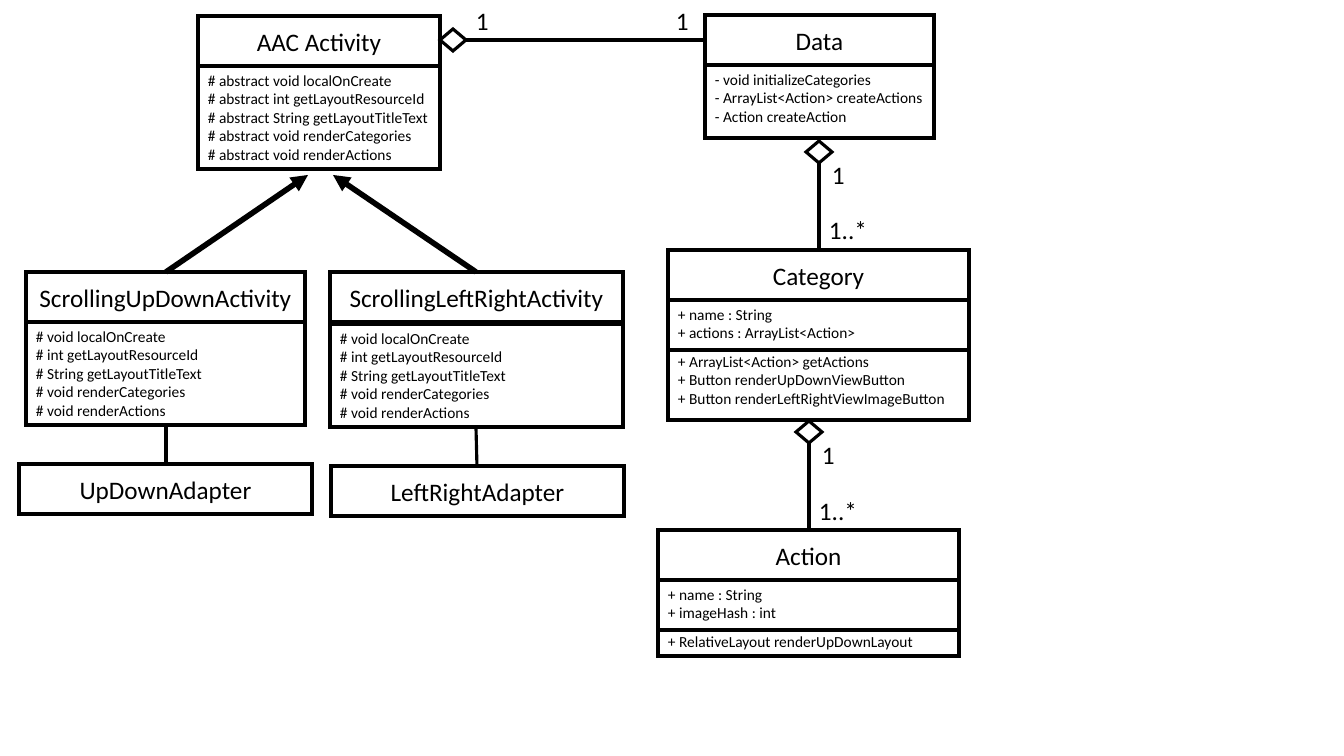
from dataclasses import dataclass

from lxml.etree import SubElement
from pptx import Presentation
from pptx.dml.color import RGBColor
from pptx.enum.shapes import MSO_CONNECTOR as Conn, MSO_SHAPE as Kind
from pptx.enum.text import MSO_ANCHOR as Anchor, MSO_AUTO_SIZE as Fit, PP_ALIGN as Align
from pptx.oxml.ns import qn
from pptx.util import Pt


@dataclass(frozen=True)
class Theme:
    ink: RGBColor = RGBColor(0, 0, 0)
    paper: RGBColor = RGBColor(255, 255, 255)
    font: str = "Calibri"
    head: Pt = Pt(18)
    body: Pt = Pt(11)
    frame: Pt = Pt(3)
    link: Pt = Pt(2.25)
    arrow: Pt = Pt(4)


theme = Theme()
SCALE = 914400 / 100.8  # EMU per pixel


def px(*vals):
    return [round(v * SCALE) for v in vals]


def write(shape, text, size, align=Align.LEFT, anchor=Anchor.TOP):
    frame = shape.text_frame
    frame.text = text
    frame.vertical_anchor = anchor
    for para in frame.paragraphs:
        para.alignment = align
        for run in para.runs:
            run.font.name = theme.font
            run.font.size = size
            run.font.color.rgb = theme.ink


deck = Presentation()
deck.slide_width, deck.slide_height = px(1344, 756)
slide = deck.slides.add_slide(deck.slide_layouts[6])
shapes = slide.shapes

# Classes: left, top, width, name, gap under the name, sections
HEAD = 50
LAP = 3  # overlap of two sections
HIGH = {1: 29, 2: 50, 3: 73, 5: 103}  # section height by line count
hooks = ["void localOnCreate", "int getLayoutResourceId", "String getLayoutTitleText",
         "void renderCategories", "void renderActions"]
base = [f"# abstract {hook}" for hook in hooks]
child = [f"# {hook}" for hook in hooks]
classes = [
    (198, 16, 242, "AAC Activity", 0, [base]),
    (705, 15, 229, "Data", 0, [[
        "- void initializeCategories",
        "- ArrayList<Action> createActions",
        "- Action createAction"]]),
    (668, 250, 301, "Category", 0, [
        ["+ name : String", "+ actions : ArrayList<Action>"],
        ["+ ArrayList<Action> getActions",
         "+ Button renderUpDownViewButton",
         "+ Button renderLeftRightViewImageButton"]]),
    (658, 530, 301, "Action", 0, [
        ["+ name : String", "+ imageHash : int"],
        ["+ RelativeLayout renderUpDownLayout"]]),
    (26, 272, 279, "ScrollingUpDownActivity", 0, [child]),
    (330, 272, 293, "ScrollingLeftRightActivity", 2, [child]),
    (19, 464, 293, "UpDownAdapter", 0, []),
    (331, 466, 293, "LeftRightAdapter", 0, []),
]
parts = []
for left, top, wide, name, gap, lists in classes:
    parts.append((Kind.RECTANGLE, left, top, wide, HEAD, name, True))
    edge = top + HEAD + gap
    stack = []
    for lines in lists:
        high = HIGH[len(lines)]
        stack.append((Kind.RECTANGLE, left, edge, wide, high, "\n".join(lines), False))
        edge += high - LAP
    parts += reversed(stack)  # upper sections lie in front

# Diamonds of the aggregations
parts += [(Kind.DIAMOND, left, top, 26, 22, "", True)
          for left, top in [(440, 29), (806, 141), (796, 421)]]

for kind, left, top, wide, high, text, head in parts:
    box = shapes.add_shape(kind, *px(left, top, wide, high))
    box.shadow.inherit = False
    box.fill.solid()
    box.fill.fore_color.rgb = theme.paper
    box.line.color.rgb = theme.ink
    box.line.width = theme.frame if text else theme.link
    SubElement(box.line._get_or_add_ln(), qn("a:miter"), lim="800000")
    if head and text:
        write(box, text, theme.head, Align.CENTER, Anchor.MIDDLE)
    elif text:
        write(box, text, theme.body)

# Links between classes, then the two inheritance arrows
for x1, y1, x2, y2, width in [
    (466, 40, 705, 40, theme.link),
    (819, 250, 819, 163, theme.link),
    (809, 530, 809, 443, theme.link),
    (476, 427, 477, 466, theme.link),
    (166, 426, 166, 464, theme.link),
    (166, 272, 308, 175, theme.arrow),
    (476, 272, 333, 175, theme.arrow),
]:
    link = shapes.add_connector(Conn.STRAIGHT, *px(x1, y1, x2, y2))
    link.line.color.rgb = theme.ink
    link.line.width = width
    if width == theme.arrow:
        SubElement(link.line._get_or_add_ln(), qn("a:tailEnd"), type="triangle")
    SubElement(link._element.spPr, qn("a:effectLst"))

# Multiplicities
for left, top, text in [
    (466, 0, "1"), (666, 0, "1"),
    (822, 154, "1"), (819, 209, "1..*"),
    (812, 434, "1"), (809, 490, "1..*"),
]:
    note = shapes.add_textbox(*px(left, top, 33 if text == "1" else 58, 40))
    write(note, text, theme.head)
    note.text_frame.word_wrap = False
    note.text_frame.auto_size = Fit.SHAPE_TO_FIT_TEXT

deck.save("out.pptx")
